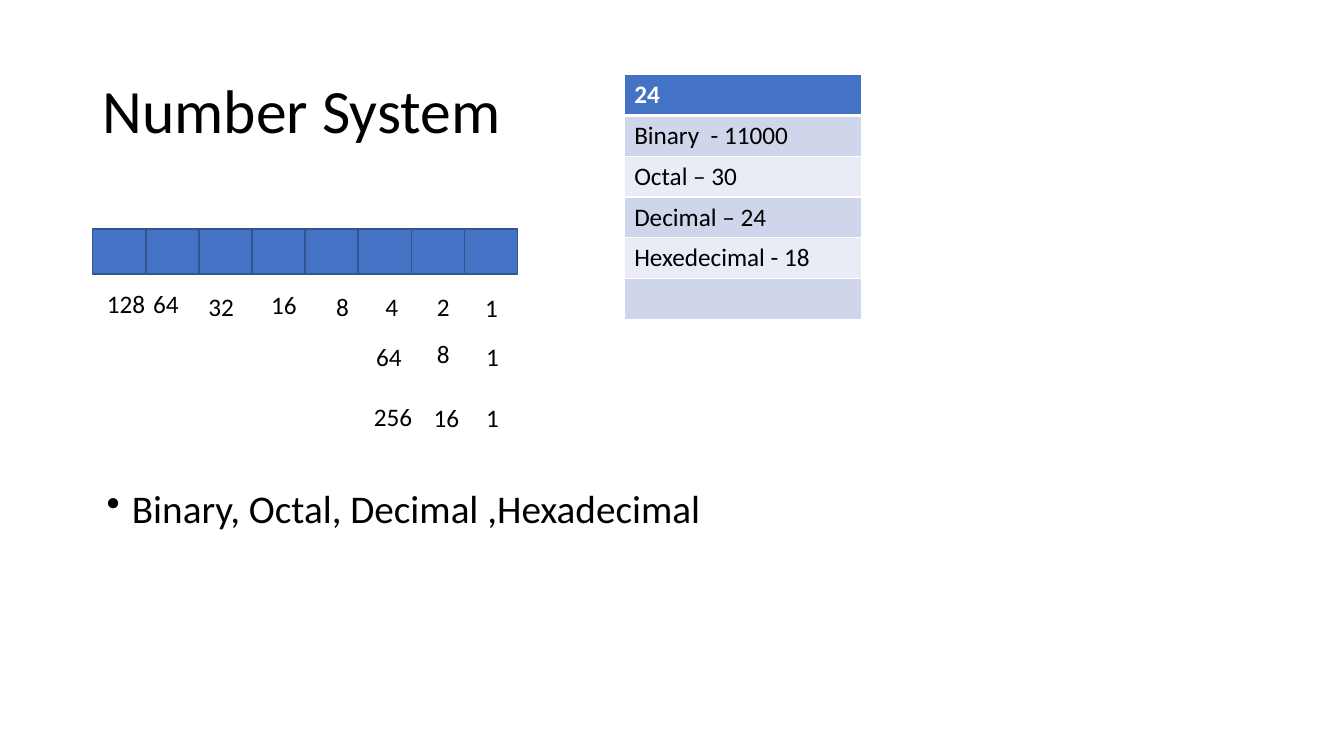
from dataclasses import dataclass

from lxml import etree
from pptx import Presentation
from pptx import util as u
from pptx.dml.color import RGBColor
from pptx.enum import shapes, text
from pptx.oxml import ns

BLACK = RGBColor(0x00, 0x00, 0x00)
WHITE = RGBColor(0xFF, 0xFF, 0xFF)
BLUE = RGBColor(0x44, 0x72, 0xC4)
OUTLINE = RGBColor(0x32, 0x54, 0x91)
BAND_DARK = RGBColor(0xCF, 0xD5, 0xEA)
BAND_LIGHT = RGBColor(0xE9, 0xEB, 0xF5)
FONT = "Calibri"

prs = Presentation()
prs.slide_width, prs.slide_height = u.Inches(13.33), u.Inches(7.5)
s = prs.slides.add_slide(prs.slide_layouts[6])


@dataclass(frozen=True)
class Box:
    """Left, top, width and height in percent of the slide."""
    left: float
    top: float
    width: float
    height: float

    def emu(self) -> list[int]:
        return [int(prs.slide_width * self.left / 100),
                int(prs.slide_height * self.top / 100),
                int(prs.slide_width * self.width / 100),
                int(prs.slide_height * self.height / 100)]


@dataclass(frozen=True)
class Weight:
    """A place value; column is its centre and row its top, in bit cells."""
    label: str
    column: float
    row: float


BIT_COUNT = 8
BITS = Box(6.9, 30.27, 3.95, 6)
WEIGHTS = [
    Weight("128", 0.64, 1.2), Weight("64", 1.39, 1.2),
    Weight("32", 2.43, 1.27), Weight("16", 3.61, 1.22),
    Weight("8", 4.71, 1.27), Weight("4", 5.64, 1.27),
    Weight("2", 6.61, 1.27), Weight("1", 7.52, 1.29),
    Weight("64", 5.59, 2.36), Weight("8", 6.61, 2.31),
    Weight("1", 7.54, 2.38),
    Weight("256", 5.67, 3.69), Weight("16", 6.67, 3.71),
    Weight("1", 7.54, 3.71),
]
CONVERSIONS = ["24", "Binary  - 11000", "Octal – 30", "Decimal – 24",
               "Hexedecimal - 18", ""]


def style(p, size: float, color: RGBColor = BLACK, bold: bool = False) -> None:
    p.font.name, p.font.size, p.font.bold = FONT, u.Pt(size), bold
    p.font.color.rgb = color


def add_text(box: Box, words: str, size: float, wrap: bool = True,
             anchor=text.MSO_ANCHOR.TOP):
    tf = s.shapes.add_textbox(*box.emu()).text_frame
    tf.word_wrap, tf.vertical_anchor = wrap, anchor
    p = tf.paragraphs[0]
    p.text = words
    style(p, size)
    return p


def add_bullet(p) -> None:
    pPr = p._p.get_or_add_pPr()
    pPr.set("marL", str(u.Inches(0.25)))
    pPr.set("indent", str(-u.Inches(0.25)))
    bullet = etree.Element(ns.qn("a:buChar"), char="•")
    pPr.insert_element_before(bullet, "a:defRPr")


def add_bit(index: int) -> None:
    box = Box(BITS.left + index * BITS.width, BITS.top, BITS.width, BITS.height)
    sp = s.shapes.add_shape(shapes.MSO_SHAPE.RECTANGLE, *box.emu())
    sp.shadow.inherit = False
    sp.fill.solid()
    sp.fill.fore_color.rgb = BLUE
    sp.line.color.rgb = OUTLINE
    sp.line.width = u.Pt(1)


def add_weight(weight: Weight) -> None:
    width = 1.5 + 0.98 * len(weight.label)
    left = BITS.left + weight.column * BITS.width - width / 2
    top = BITS.top + weight.row * BITS.height
    add_text(Box(left, top, width, 5.33), weight.label, 18, wrap=False)


def add_borders(cell, top: float, bottom: float) -> None:
    tcPr = cell._tc.get_or_add_tcPr()
    edges = {"lnL": 1, "lnR": 1, "lnT": top, "lnB": bottom}
    for place, (tag, width) in enumerate(edges.items()):
        ln = etree.Element(ns.qn(f"a:{tag}"), w=str(u.Pt(width)))
        fill = etree.SubElement(ln, ns.qn("a:solidFill"))
        etree.SubElement(fill, ns.qn("a:srgbClr"), val=str(WHITE))
        tcPr.insert(place, ln)


def add_conversions(box: Box) -> None:
    table = s.shapes.add_table(len(CONVERSIONS), 1, *box.emu()).table
    for row, words in enumerate(CONVERSIONS):
        header = row == 0
        cell = table.cell(row, 0)
        cell.text = words
        style(cell.text_frame.paragraphs[0], 18, WHITE if header else BLACK, header)
        cell.fill.solid()
        band = BAND_DARK if row % 2 else BAND_LIGHT
        cell.fill.fore_color.rgb = BLUE if header else band
        add_borders(cell, 3 if row == 1 else 1, 3 if header else 1)


title = add_text(Box(6.9, 5.33, 86.25, 19.33), "Number System", 44,
                 anchor=text.MSO_ANCHOR.MIDDLE)
title.line_spacing = 0.9

body = add_text(Box(7.2, 64.13, 86.25, 25.87),
                "Binary, Octal, Decimal ,Hexadecimal", 28)
body.line_spacing, body.space_before = 0.9, u.Pt(10)
add_bullet(body)

add_conversions(Box(46.44, 9.87, 17.7, 32.4))
for index in range(BIT_COUNT):
    add_bit(index)
for weight in WEIGHTS:
    add_weight(weight)

prs.save("out.pptx")
